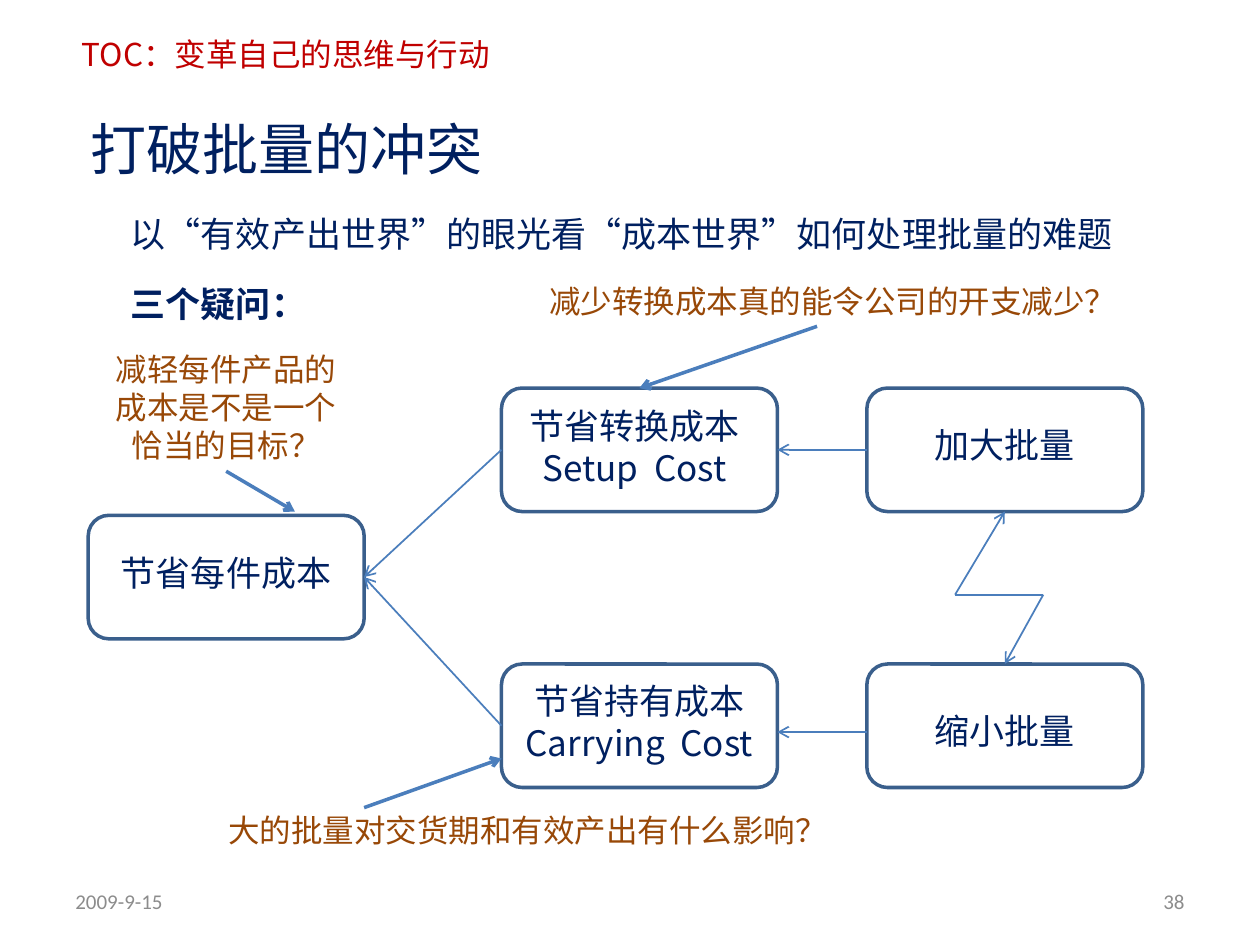
from dataclasses import dataclass

from lxml.etree import SubElement
from pptx import Presentation
from pptx.dml.color import RGBColor
from pptx.enum.shapes import MSO_CONNECTOR, MSO_SHAPE
from pptx.enum.text import MSO_ANCHOR, PP_ALIGN
from pptx.oxml.ns import qn
from pptx.util import Inches, Pt

NAVY = RGBColor(0x00, 0x20, 0x60)
RED = RGBColor(0xC0, 0x00, 0x00)
BROWN = RGBColor(0x98, 0x48, 0x07)
GRAY = RGBColor(0x8C, 0x8C, 0x8C)
OUTLINE = RGBColor(0x3A, 0x5F, 0x8C)
ARROW = RGBColor(0x4B, 0x7E, 0xBC)

CHINESE = "Noto Sans CJK SC"
NODE_FONT = "Noto Sans CJK JP"
FOOTER_FONT = "Calibri"

COLUMNS, ROWS = 100, 75
SLIDE_WIDTH, SLIDE_HEIGHT = Inches(10), Inches(7.5)
TOP, LEFT, BOTTOM, RIGHT = range(4)


@dataclass
class Box:
    left: float
    top: float
    width: float
    height: float

    def inner(self, left, top, width, height):
        return Box(self.left + left, self.top + top, width, height)

    def point(self, column, row):
        return self.left + column, self.top + row

    def emu(self):
        return (*grid_point(self.left, self.top), *grid_point(self.width, self.height))


def grid_point(column, row):
    return round(column * SLIDE_WIDTH / COLUMNS), round(row * SLIDE_HEIGHT / ROWS)


def fill_text(shape, lines, size, font, color, align=PP_ALIGN.LEFT,
              anchor=MSO_ANCHOR.TOP, bold=False, wrap=True):
    frame = shape.text_frame
    frame.word_wrap = wrap
    frame.vertical_anchor = anchor
    for index, line in enumerate(lines):
        paragraph = frame.paragraphs[0] if index == 0 else frame.add_paragraph()
        paragraph.alignment = align
        run = paragraph.add_run()
        run.text = line
        run.font.size = Pt(size)
        run.font.name = font
        run.font.bold = bold
        run.font.color.rgb = color
        SubElement(run.font._element, qn("a:ea"), typeface=font)


def add_text(slide, box, lines, size, font, color, **options):
    shape = slide.shapes.add_textbox(*box.emu())
    fill_text(shape, lines, size, font, color, **options)
    return shape


def add_note(slide, box, text):
    return add_text(slide, box, [text], 18, CHINESE, BROWN, align=PP_ALIGN.CENTER)


def add_line(slide, start, end, width=1, arrow=True):
    points = [(0, 0) if hasattr(place[0], "shape_id") else grid_point(*place)
              for place in (start, end)]
    line = slide.shapes.add_connector(MSO_CONNECTOR.STRAIGHT, *points[0], *points[1])
    if hasattr(start[0], "shape_id"):
        line.begin_connect(*start)
    if hasattr(end[0], "shape_id"):
        line.end_connect(*end)
    line.line.color.rgb = ARROW
    line.line.width = Pt(width)
    if arrow:
        SubElement(line.line._get_or_add_ln(), qn("a:tailEnd"), type="arrow")
    SubElement(line._element.spPr, qn("a:effectLst"))


def add_node(slide, box, lines, label_top, label_width=20.3):
    node = slide.shapes.add_shape(MSO_SHAPE.FLOWCHART_ALTERNATE_PROCESS, *box.emu())
    node.shadow.inherit = False
    node.fill.background()
    node.line.color.rgb = OUTLINE
    node.line.width = Pt(2)
    label = box.inner(0.8, label_top, label_width, 1.1 + 3.3 * len(lines))
    add_text(slide, label, lines, 20, NODE_FONT, NAVY, align=PP_ALIGN.CENTER)
    return node


def add_heading(slide, box):
    add_text(slide, box.inner(0.5, 0, 35.9, 4), ["TOC：变革自己的思维与行动"],
             18, CHINESE, RED)
    title = slide.shapes.title
    title.left, title.top, title.width, title.height = box.inner(1.2, 6.3, 33.4, 6.4).emu()
    fill_text(title, ["打破批量的冲突"], 32, CHINESE, NAVY, wrap=False)
    add_text(slide, box.inner(4.4, 14.1, 80.6, 4.4),
             ["以“有效产出世界”的眼光看“成本世界”如何处理批量的难题"],
             20, CHINESE, NAVY, wrap=False)
    add_text(slide, box.inner(4.4, 19.6, 16, 4.4), ["三个疑问："],
             20, CHINESE, NAVY, bold=True, wrap=False)


def add_conflict_diagram(slide, box):
    width, height = 21.9, 9.8
    middle, right = 32.8, 61.8
    goal_row, lower_row = 10.1, 21.9

    goal = add_node(slide, box.inner(0, goal_row, width, height), ["节省每件成本"], 2.4)
    setup = add_node(slide, box.inner(middle, 0, width, height),
                     ["节省转换成本", "Setup  Cost"], 0.8, 19.5)
    large = add_node(slide, box.inner(right, 0, width, height), ["加大批量"], 2.3)
    carrying = add_node(slide, box.inner(middle, lower_row, width, height),
                        ["节省持有成本", "Carrying  Cost"], 0.7)
    small = add_node(slide, box.inner(right, lower_row, width, height), ["缩小批量"], 3.1)

    for need in (setup, carrying):
        add_line(slide, (need, LEFT), (goal, RIGHT))
    add_line(slide, (large, LEFT), (setup, RIGHT))
    small_row = lower_row + 5.4
    add_line(slide, box.point(right, small_row), box.point(middle + width, small_row))

    bend_left, bend_right = box.point(68.8, 16.4), box.point(75.8, 16.4)
    add_line(slide, bend_right, (small, TOP))
    add_line(slide, bend_left, (large, BOTTOM))
    add_line(slide, bend_right, bend_left, arrow=False)

    goal_note = add_note(slide, box.inner(0, -3.5, width, 10.1),
                         "减轻每件产品的成本是不是一个恰当的目标？")
    add_line(slide, (goal_note, BOTTOM), box.point(16.4, 9.8), 2)
    setup_note = add_note(slide, box.inner(35.2, -8.9, 45.3, 4),
                          "减少转换成本真的能令公司的开支减少？")
    add_line(slide, (setup_note, BOTTOM), (setup, TOP), 2)
    add_note(slide, box.inner(7.1, 33.1, 55.5, 4), "大的批量对交货期和有效产出有什么影响？")
    add_line(slide, box.point(width, 33.3), box.point(middle, 29.4), 2)


def add_footer(slide, box):
    width = 23.3
    for left, text, align in ((0, "2009-9-15", PP_ALIGN.LEFT),
                              (box.width - width, "38", PP_ALIGN.RIGHT)):
        add_text(slide, box.inner(left, 0, width, box.height), [text], 12,
                 FOOTER_FONT, GRAY, align=align, anchor=MSO_ANCHOR.MIDDLE)


def main():
    presentation = Presentation()
    presentation.slide_width = SLIDE_WIDTH
    presentation.slide_height = SLIDE_HEIGHT
    slide = presentation.slides.add_slide(presentation.slide_layouts[5])
    add_heading(slide, Box(5, 2.3, 90, 24))
    add_conflict_diagram(slide, Box(7, 30.8, 83.7, 31.7))
    add_footer(slide, Box(5, 69.5, 90, 4))
    presentation.save("out.pptx")


if __name__ == "__main__":
    main()
